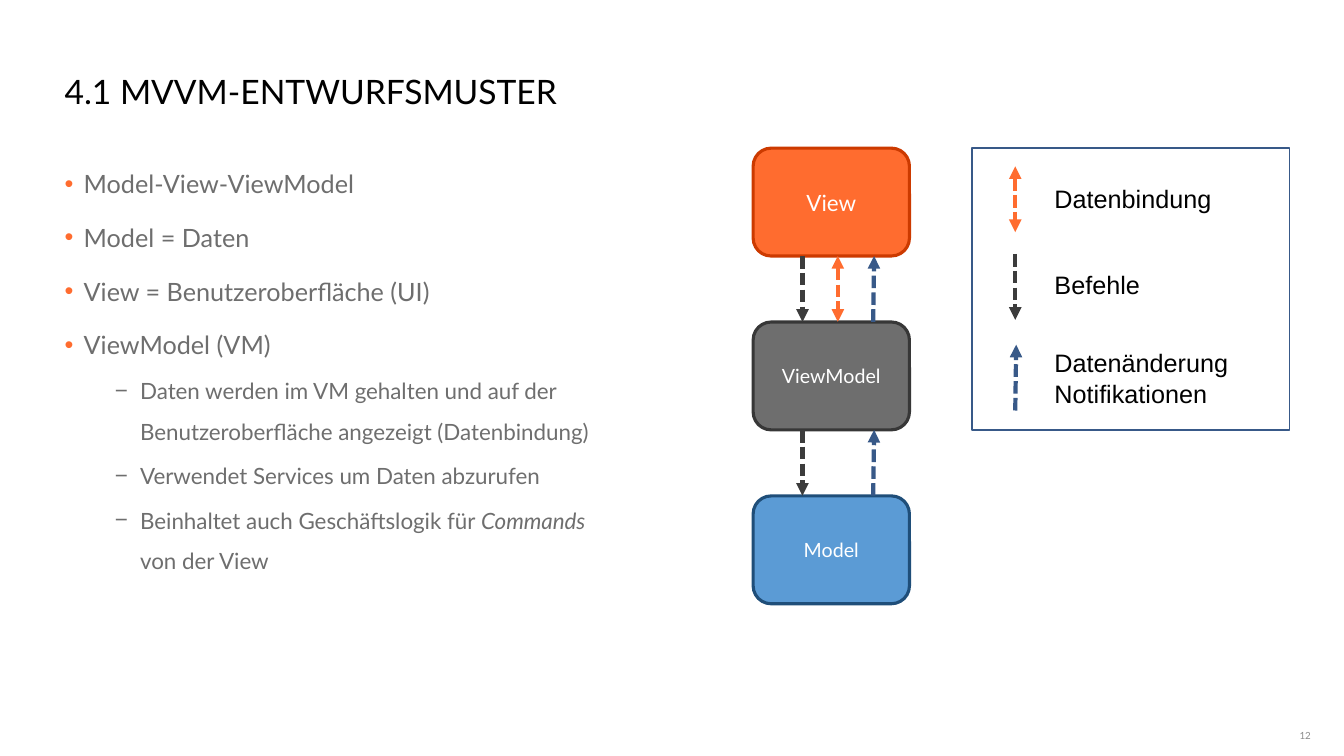
from dataclasses import dataclass

from lxml.etree import SubElement
from pptx import Presentation
from pptx.dml.color import RGBColor
from pptx.enum.dml import MSO_LINE
from pptx.enum.shapes import MSO_CONNECTOR, MSO_SHAPE
from pptx.enum.text import MSO_ANCHOR as Anchor, MSO_AUTO_SIZE, PP_ALIGN as Align
from pptx.oxml.ns import qn
from pptx.util import Inches, Pt

SLIDE_WIDTH, SLIDE_HEIGHT = Inches(13.33), Inches(7.5)
ORANGE, GREY, DARK, NAVY = "FF6C2F", "6E6E6E", "3C3C3C", "385988"
BLACK, WHITE = "000000", "FFFFFF"

# Shares of the slide's size in percent
MARGIN, CONTENT_WIDTH = 4.8, 89.95
DIAGRAM_TOP, BOX_LEFT, BOX_WIDTH, BOX_HEIGHT, BOX_PITCH = 19.6, 56.04, 11.63, 14.27, 23
ARROW_LEFT, ARROW_PITCH, ARROW_LENGTH, ARROW_LEAN = 59.71, 2.63, 8.7, 0.07
LEGEND_LEFT, LEGEND_WIDTH, LEGEND_ARROW, LEGEND_TEXT = 72.32, 23.63, 75.54, 77.72


@dataclass(frozen=True)
class Layer:
    name: str
    fill: str
    line: str
    size: int


@dataclass(frozen=True)
class Signal:
    label: tuple[str, ...]
    color: str
    lane: int
    arrow_top: float
    text_top: float
    text_width: float
    text_height: float
    upward: bool = False
    two_way: bool = False


@dataclass(frozen=True)
class Point:
    lines: tuple[str, ...]
    level: int = 0
    emphasis: str = ""


BINDING = Signal(("Datenbindung",), ORANGE, 1, 22, 23.6, 13.28, 5.33, two_way=True)
COMMAND = Signal(("Befehle",), DARK, 0, 33.6, 34.93, 7.95, 5.33)
NOTIFICATION = Signal(("Datenänderung", "Notifikationen"), NAVY, 2, 45.6, 45.33, 14.55, 9.47,
                      upward=True)
LAYERS = (
    Layer("View", ORANGE, "CC3A00", 16),
    Layer("ViewModel", GREY, "373737", 14),
    Layer("Model", "5B9BD5", "1F4E79", 14),
)
GAP_SIGNALS = ((COMMAND, BINDING, NOTIFICATION), (COMMAND, NOTIFICATION))
POINTS = (
    Point(("Model-View-ViewModel",)),
    Point(("Model = Daten",)),
    Point(("View = Benutzeroberfläche (UI)",)),
    Point(("ViewModel (VM)",)),
    Point(("Daten werden im VM gehalten und auf der",
           "Benutzeroberfläche angezeigt (Datenbindung)"), 1),
    Point(("Verwendet Services um Daten abzurufen",), 1),
    Point(("Beinhaltet auch Geschäftslogik für ", "von der View"), 1, "Commands"),
)


def rgb(color: str) -> RGBColor:
    return RGBColor.from_string(color)


def across(share: float) -> int:
    return round(SLIDE_WIDTH * share / 100)


def down(share: float) -> int:
    return round(SLIDE_HEIGHT * share / 100)


def area(left: float, top: float, width: float, height: float) -> tuple[int, int, int, int]:
    return across(left), down(top), across(width), down(height)


def add_run(paragraph, text: str, size: float, color: str, font: str = "Lato",
            italic: bool = False) -> None:
    run = paragraph.add_run()
    run.text = text
    run.font.name, run.font.size, run.font.italic = font, Pt(size), italic
    run.font.color.rgb = rgb(color)


def place_placeholder(shape, bounds: tuple[int, int, int, int], anchor: Anchor):
    shape.left, shape.top, shape.width, shape.height = bounds
    frame = shape.text_frame
    frame.auto_size, frame.word_wrap = MSO_AUTO_SIZE.NONE, True
    frame.vertical_anchor, frame.margin_left = anchor, 0
    return frame


def set_bullet(paragraph, character: str, color: str, indent: float, hanging: float) -> None:
    properties = paragraph._p.get_or_add_pPr()
    properties.set("marL", str(Inches(indent)))
    properties.set("indent", str(-Inches(hanging)))
    SubElement(SubElement(properties, qn("a:buClr")), qn("a:srgbClr"), val=color)
    SubElement(properties, qn("a:buFont"), typeface="Arial")
    SubElement(properties, qn("a:buChar"), char=character)


def add_point(paragraph, point: Point) -> None:
    size = 16 if point.level else 18
    paragraph.level, paragraph.alignment = point.level, Align.LEFT
    paragraph.line_spacing, paragraph.space_before = 1.5, Pt(3 if point.level else 6)
    if point.level:
        set_bullet(paragraph, "−", GREY, 0.75, 0.25)
    else:
        set_bullet(paragraph, "•", ORANGE, 0.19, 0.19)
    for number, line in enumerate(point.lines):
        if number:
            paragraph.add_line_break()
        add_run(paragraph, line, size, GREY)
        if point.emphasis and number == 0:
            add_run(paragraph, point.emphasis, size, GREY, italic=True)


def add_box(slide, layer: Layer, top: float) -> None:
    shape = slide.shapes.add_shape(MSO_SHAPE.ROUNDED_RECTANGLE,
                                   *area(BOX_LEFT, top, BOX_WIDTH, BOX_HEIGHT))
    shape.shadow.inherit = False
    shape.fill.solid()
    shape.fill.fore_color.rgb = rgb(layer.fill)
    shape.line.color.rgb, shape.line.width = rgb(layer.line), Pt(2.25)
    shape.text_frame.vertical_anchor = Anchor.MIDDLE
    paragraph = shape.text_frame.paragraphs[0]
    paragraph.alignment = Align.CENTER
    add_run(paragraph, layer.name, layer.size, WHITE)


def add_arrow(slide, signal: Signal, left: float, top: float) -> None:
    start, end = (left, top), (left, top + ARROW_LENGTH)
    if signal.upward:
        start, end = end, (left + ARROW_LEAN, top)
    connector = slide.shapes.add_connector(MSO_CONNECTOR.STRAIGHT, across(start[0]),
                                           down(start[1]), across(end[0]), down(end[1]))
    line = connector.line
    line.color.rgb, line.width = rgb(signal.color), Pt(3)
    line.dash_style = MSO_LINE.SQUARE_DOT
    properties = connector._element.spPr
    outline = properties.find(qn("a:ln"))
    outline.find(qn("a:prstDash")).set("val", "sysDash")
    for tag in ("a:headEnd", "a:tailEnd") if signal.two_way else ("a:tailEnd",):
        SubElement(outline, qn(tag), type="triangle")
    SubElement(properties, qn("a:effectLst"))


def add_legend_entry(slide, signal: Signal) -> None:
    add_arrow(slide, signal, LEGEND_ARROW, signal.arrow_top)
    frame = slide.shapes.add_textbox(*area(LEGEND_TEXT, signal.text_top, signal.text_width,
                                           signal.text_height)).text_frame
    frame.word_wrap, frame.auto_size = False, MSO_AUTO_SIZE.SHAPE_TO_FIT_TEXT
    for number, line in enumerate(signal.label):
        paragraph = frame.add_paragraph() if number else frame.paragraphs[0]
        add_run(paragraph, line, 18, BLACK, "Arial")


def add_legend(slide) -> None:
    border = slide.shapes.add_shape(MSO_SHAPE.RECTANGLE, *area(
        LEGEND_LEFT, DIAGRAM_TOP, LEGEND_WIDTH, BOX_PITCH + BOX_HEIGHT))
    border.shadow.inherit = False
    border.fill.background()
    border.line.color.rgb, border.line.width = rgb(NAVY), Pt(1)
    for signal in (BINDING, COMMAND, NOTIFICATION):
        add_legend_entry(slide, signal)


def add_page_number(slide, number: str) -> None:
    frame = slide.shapes.add_textbox(*area(95.2, 96.27, 2.33, 2.13)).text_frame
    frame.margin_left = frame.margin_right = frame.margin_top = frame.margin_bottom = 0
    frame.word_wrap, frame.vertical_anchor = True, Anchor.MIDDLE
    frame.paragraphs[0].alignment = Align.RIGHT
    add_run(frame.paragraphs[0], number, 7, "8C8C8C")


def main() -> None:
    presentation = Presentation()
    presentation.slide_width, presentation.slide_height = SLIDE_WIDTH, SLIDE_HEIGHT
    slide = presentation.slides.add_slide(presentation.slide_layouts[1])

    title = place_placeholder(slide.shapes.title, area(MARGIN, 3.33, CONTENT_WIDTH, 12),
                              Anchor.BOTTOM).paragraphs[0]
    title.alignment, title.line_spacing = Align.LEFT, 1.5
    add_run(title, "4.1 MVVM-ENTWURFSMUSTER", 24, BLACK)

    body = place_placeholder(slide.placeholders[1],
                             area(MARGIN, DIAGRAM_TOP, CONTENT_WIDTH, 69.07), Anchor.TOP)
    for number, point in enumerate(POINTS):
        add_point(body.add_paragraph() if number else body.paragraphs[0], point)

    add_page_number(slide, "12")
    for row, layer in enumerate(LAYERS):
        add_box(slide, layer, DIAGRAM_TOP + row * BOX_PITCH)
    for row, signals in enumerate(GAP_SIGNALS):
        for signal in signals:
            add_arrow(slide, signal, ARROW_LEFT + signal.lane * ARROW_PITCH,
                      DIAGRAM_TOP + row * BOX_PITCH + BOX_HEIGHT)
    add_legend(slide)
    presentation.save("out.pptx")


if __name__ == "__main__":
    main()
